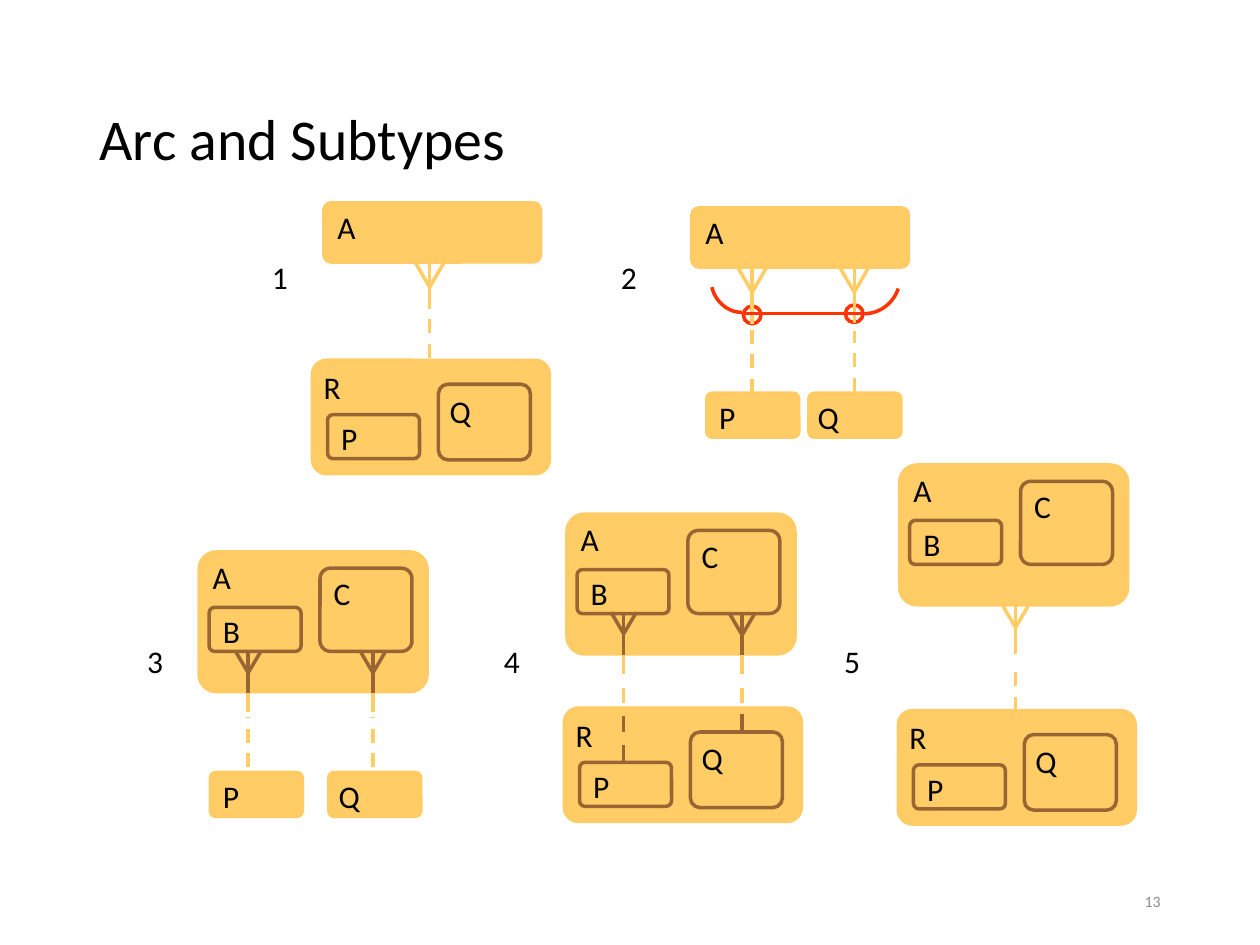
from dataclasses import dataclass

from lxml.etree import SubElement
from pptx import Presentation
from pptx.dml.color import RGBColor
from pptx.enum.dml import MSO_LINE
from pptx.enum.shapes import MSO_CONNECTOR, MSO_SHAPE
from pptx.enum.text import MSO_ANCHOR, PP_ALIGN
from pptx.oxml.ns import qn
from pptx.util import Pt

PX = 9144  # EMU in one px, at 100 px to the inch


@dataclass(frozen=True)
class Theme:
    font: str = "Calibri"
    ink: str = "000000"
    grey: str = "8C8C8C"
    gold: str = "FFCC66"
    edge: str = "FFCB65"
    brown: str = "996633"
    red: str = "FF3300"
    title: int = 33
    body: int = 18
    small: int = 9
    line: int = 2


theme = Theme()
rgb = RGBColor.from_string
deck = Presentation()
deck.slide_width, deck.slide_height = 1000 * PX, 750 * PX
slide = deck.slides.add_slide(deck.slide_layouts[5])
shapes = slide.shapes


def write(words, x, y, w, h=40, size=theme.body, color=theme.ink,
          align=PP_ALIGN.LEFT, anchor=MSO_ANCHOR.TOP, space=1.0, box=None):
    """Put words in the given box, or in a new text box."""
    box = box or shapes.add_textbox(0, 0, 0, 0)
    box.left, box.top, box.width, box.height = (n * PX for n in (x, y, w, h))
    frame = box.text_frame
    frame.word_wrap = True
    frame.vertical_anchor = anchor
    frame.text = words
    para = frame.paragraphs[0]
    para.alignment, para.line_spacing = align, space
    para.font.name, para.font.size = theme.font, Pt(size)
    para.font.color.rgb = rgb(color)


def draw(x1, y1, x2, y2, color, dash=False):
    ends = (n * PX for n in (x1, y1, x2, y2))
    link = shapes.add_connector(MSO_CONNECTOR.STRAIGHT, *ends)
    link.line.color.rgb = rgb(color)
    link.line.width = Pt(theme.line)
    if dash:
        link.line.dash_style = MSO_LINE.DASH
    SubElement(link._element.spPr, qn("a:effectLst"))


write("Arc and Subtypes", 69, 40, 862, 145, size=theme.title,
      anchor=MSO_ANCHOR.MIDDLE, space=0.9, box=shapes.title)

# Entities: left, top, width, height, filled
boxes = [
    (257, 161, 172, 47, True), (549, 165, 172, 47, True),
    (561, 312, 73, 35, True), (642, 312, 73, 35, True),
    (167, 613, 73, 35, True), (261, 613, 73, 35, True),
]
# Labels: words, left, top, width
labels = [
    ("A", 258, 160, 57), ("A", 550, 164, 57),
    ("P", 561, 311, 145), ("Q", 639, 311, 100),
    ("P", 167, 612, 76), ("Q", 259, 612, 76),
    ("1", 206, 200, 42), ("2", 483, 200, 42),
    ("3", 107, 505, 42), ("4", 390, 505, 42), ("5", 660, 505, 42),
]
# Supertype A holds B and C
for x, y in [(158, 438), (450, 408), (714, 369)]:
    boxes += [(x, y, 181, 111, True), (x + 8, y + 44, 73, 35, False),
              (x + 96, y + 13, 73, 66, False)]
    labels += [("A", x + 1, y, 57), ("B", x + 9, y + 43, 74),
               ("C", x + 97, y + 13, 75)]
# Supertype R holds P and Q
for x, y in [(248, 286), (448, 562), (713, 564)]:
    boxes += [(x, y, 188, 90, True), (x + 12, y + 43, 73, 35, False),
              (x + 100, y + 19, 73, 60, False)]
    labels += [("R", x - 1, y + 1, 57), ("P", x + 13, y + 42, 145),
               ("Q", x + 99, y + 20, 100)]

forms = [(MSO_SHAPE.ROUNDED_RECTANGLE, box[:4], box[4],
          theme.edge if box[4] else theme.brown) for box in boxes]
rings = [(MSO_SHAPE.OVAL, (x, y, 14, 14), False, theme.red)
         for x, y in [(590, 243), (671, 242)]]
for kind, place, filled, color in forms + rings:
    form = shapes.add_shape(kind, *(n * PX for n in place))
    form.shadow.inherit = False
    form.line.color.rgb = rgb(color)
    form.line.width = Pt(theme.line)
    if kind == MSO_SHAPE.ROUNDED_RECTANGLE:
        form.adjustments[0] = 0.125
    if filled:
        form.fill.solid()
        form.fill.fore_color.rgb = rgb(theme.gold)
    else:
        form.fill.background()

# Crow's feet: centre, top, foot of stem, half width, depth, colour
for x, top, foot, half, deep, color in [
    (341, 209, 245, 11, 19, theme.gold),
    (597, 213, 257, 11, 19, theme.gold),
    (678, 213, 256, 11, 19, theme.gold),
    (197, 517, 551, 10, 17, theme.brown),
    (296, 517, 551, 10, 17, theme.brown),
    (495, 486, 520, 10, 17, theme.brown),
    (589, 487, 520, 10, 17, theme.brown),
    (806, 481, 519, 10, 17, theme.gold),
]:
    draw(x, top, x, foot, color)
    for side in (-half, half):
        draw(x + side, top, x, top + deep, color)

# Optional ends of the relationships
for x, low, high in [(341, 284, 245), (597, 312, 262), (678, 311, 263),
                     (197, 609, 569), (296, 609, 569), (806, 564, 528)]:
    draw(x, low, x, high, theme.gold, dash=True)

# Short stems and hand-spaced dashes
for x, top, low, color in [
    (197, 550, 565, theme.gold), (296, 550, 565, theme.gold),
    (495, 520, 535, theme.gold), (589, 520, 535, theme.gold),
    (495, 546, 558, theme.gold), (589, 546, 558, theme.gold),
    (495, 568, 581, theme.brown), (589, 567, 581, theme.brown),
    (495, 591, 604, theme.brown),
]:
    draw(x, top, x, low, color)

# Exclusive arc: a bar with two curved ends, each a cubic curve
draw(591, 249, 684, 249, theme.red)
STEPS = 16
for curve in [((589, 248), (578, 248), (568, 240), (565, 228)),
              ((686, 249), (698, 249), (709, 241), (713, 229))]:
    dots = []
    for step in range(STEPS + 1):
        t = step / STEPS
        u = 1 - t
        parts = (u ** 3, 3 * u * u * t, 3 * u * t * t, t ** 3)
        dots.append(tuple(round(PX * sum(k * p[axis] for k, p in zip(parts, curve)))
                          for axis in (0, 1)))
    pen = shapes.build_freeform(*dots[0])
    pen.add_line_segments(dots[1:], close=False)
    arc = pen.convert_to_shape()
    arc.shadow.inherit = False
    arc.fill.background()
    arc.line.color.rgb = rgb(theme.red)
    arc.line.width = Pt(theme.line)

for label in labels:
    write(*label)
write("13", 706, 695, 225, size=theme.small, color=theme.grey,
      align=PP_ALIGN.RIGHT, anchor=MSO_ANCHOR.MIDDLE)

deck.save("out.pptx")
